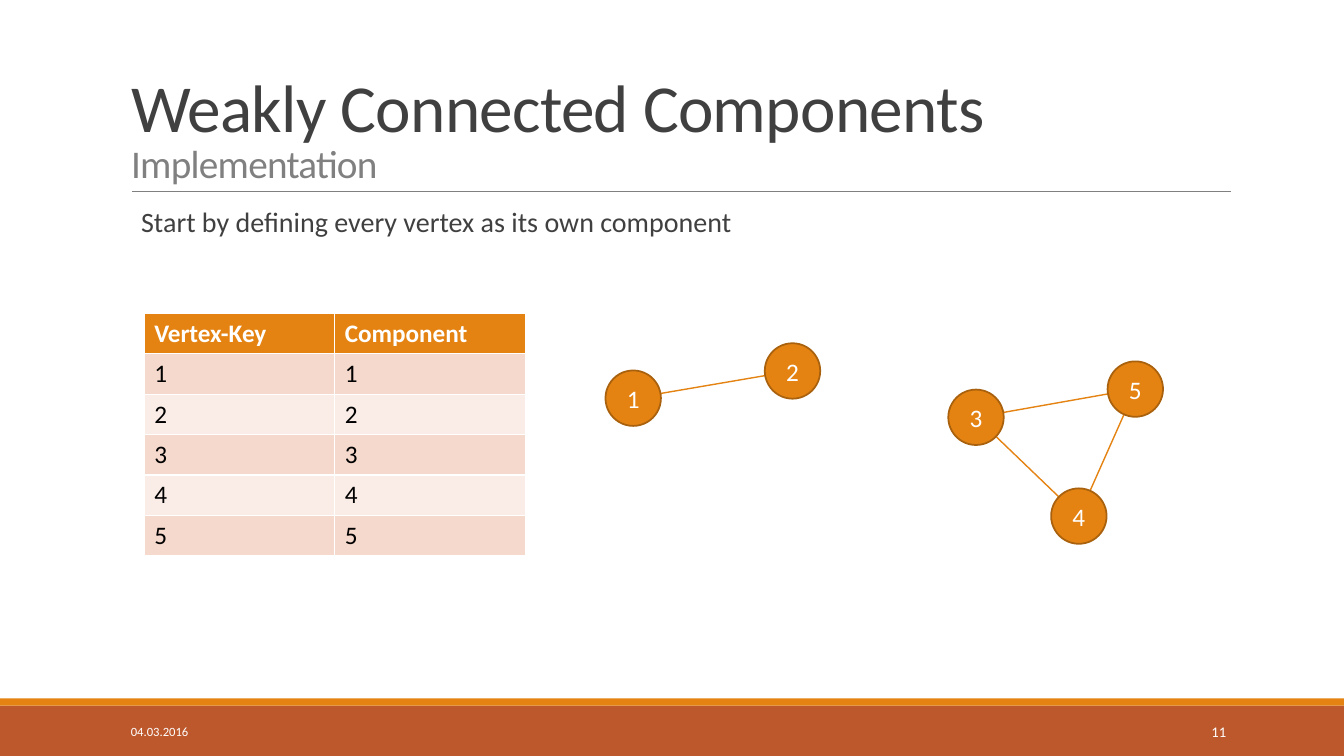
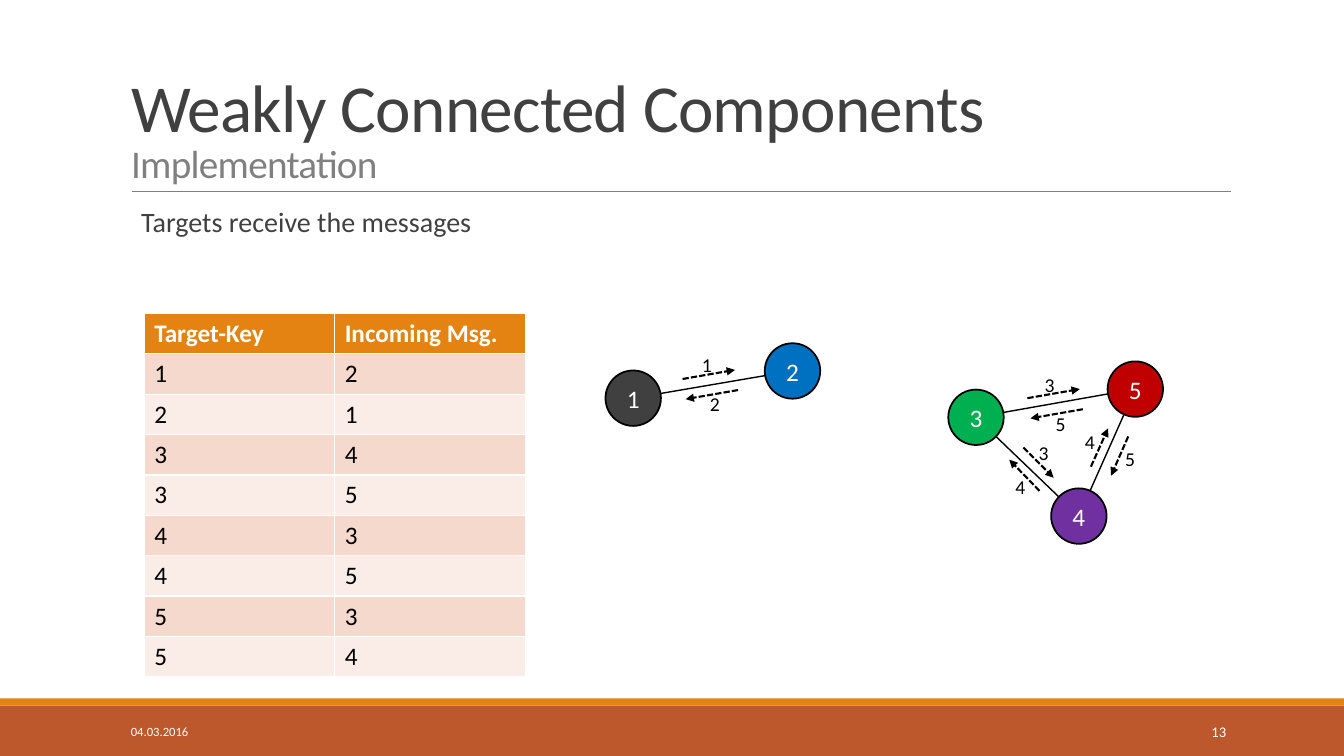
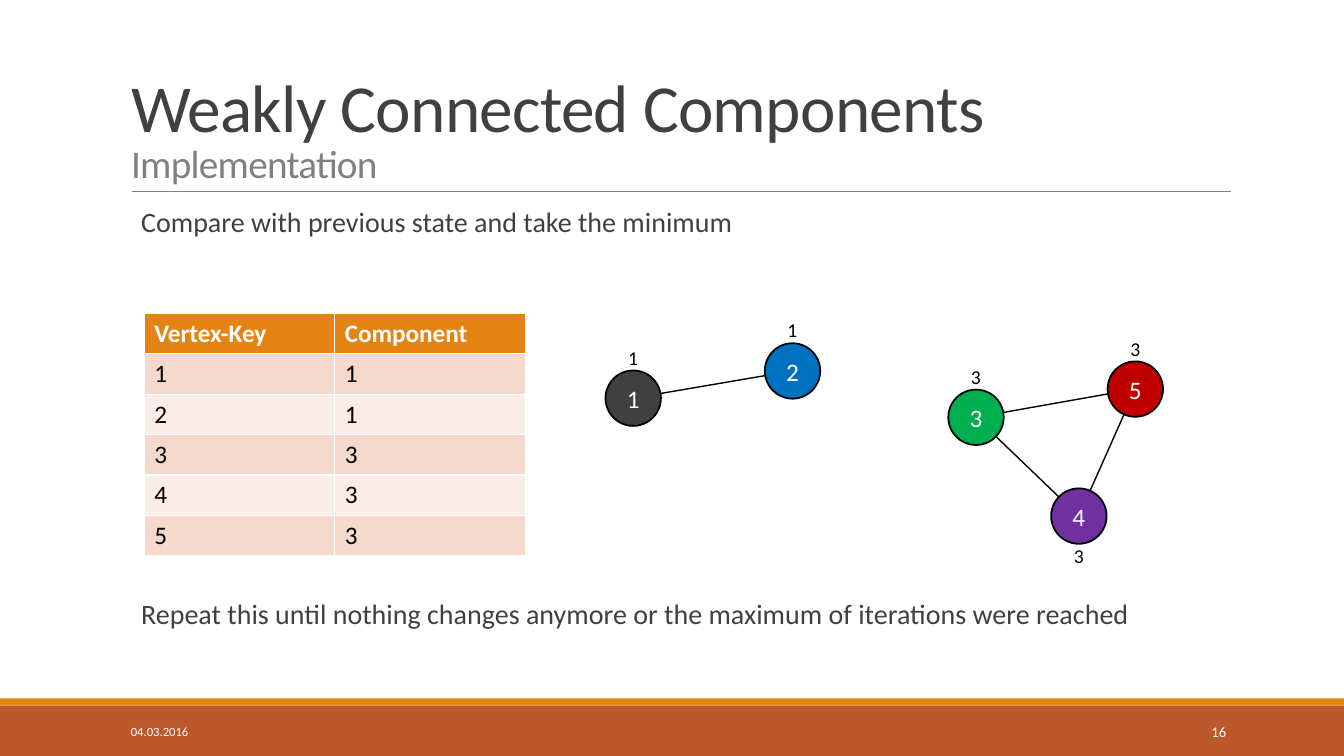
from pptx import Presentation
from pptx.dml.color import RGBColor
from pptx.enum.dml import MSO_LINE
from pptx.enum.shapes import MSO_CONNECTOR, MSO_SHAPE
from pptx.enum.text import MSO_ANCHOR, MSO_AUTO_SIZE, PP_ALIGN
from pptx.oxml.ns import qn
from pptx.util import Emu, Pt
from lxml import etree

RECTANGLE, ELLIPSE = MSO_SHAPE.RECTANGLE, MSO_SHAPE.OVAL
STRAIGHT, DASH = MSO_CONNECTOR.STRAIGHT, MSO_LINE.SQUARE_DOT
TOP, MIDDLE, BOTTOM = MSO_ANCHOR.TOP, MSO_ANCHOR.MIDDLE, MSO_ANCHOR.BOTTOM
LEFT, CENTER, RIGHT = PP_ALIGN.LEFT, PP_ALIGN.CENTER, PP_ALIGN.RIGHT
NO_FIT = MSO_AUTO_SIZE.NONE

PX = 9144  # 100 px to the inch
FONT = "Calibri"
COLORS = {
    "orange": "E48312", "rust": "BD582C", "brown": "A9610D",
    "dark": "404040", "gray": "808080", "white": "FFFFFF", "black": "000000",
    "blue": "0070C0", "green": "00B050", "red": "C00000", "purple": "7030A0",
    "row_odd": "F5D9CC", "row_even": "FAEDE7",
}

# Content shared by the slides
TITLE, SUBTITLE, DATE = "Weakly Connected Components", "Implementation", "04.03.2016"
NODES = {"1": (628, 395), "2": (786, 368), "3": (968, 414),
         "5": (1126, 386), "4": (1070, 512)}  # centers
EDGES = [("1", "2"), ("3", "5"), ("5", "4"), ("3", "4")]
NODE_SIZE = 55
PLAIN = {"nodes": dict.fromkeys(NODES, "orange"), "outline": "brown", "edge": "orange"}
COLORED = {
    "nodes": {"1": "dark", "2": "blue", "3": "green", "5": "red", "4": "purple"},
    "outline": "black", "edge": "black",
}

# Messages: text, arrow start, arrow end, label (center x, top)
MESSAGES = [
    ("1", (677, 376), (729, 367), (701, 345)),
    ("2", (732, 387), (680, 396), (709, 384)),
    ("3", (1019, 395), (1071, 386), (1041, 365)),
    ("5", (1074, 406), (1022, 415), (1052, 404)),
    ("3", (1015, 444), (1045, 474), (1035, 433)),
    ("4", (1031, 487), (1001, 456), (1012, 466)),
    ("5", (1119, 433), (1102, 472), (1121, 438)),
    ("4", (1082, 463), (1099, 425), (1081, 422)),
]

SLIDES = [
    {"number": "11", "graph": PLAIN,
     "statements": [("Start by defining every vertex as its own component", 202)],
     "table": [("Vertex-Key", "Component"),
               ("1", "1"), ("2", "2"), ("3", "3"), ("4", "4"), ("5", "5")]},
    {"number": "13", "graph": COLORED, "messages": MESSAGES,
     "statements": [("Targets receive the messages", 202)],
     "table": [("Target-Key", "Incoming Msg."),
               ("1", "2"), ("2", "1"), ("3", "4"), ("3", "5"),
               ("4", "3"), ("4", "5"), ("5", "3"), ("5", "4")]},
    {"number": "16", "graph": COLORED,
     "components": {"1": "1", "2": "1", "3": "3", "5": "3", "4": "3"},
     "statements": [
         ("Compare with previous state and take the minimum", 202),
         ("Repeat this until nothing changes anymore or the maximum of "
          "iterations were reached", 591)],
     "table": [("Vertex-Key", "Component"),
               ("1", "1"), ("2", "1"), ("3", "3"), ("4", "3"), ("5", "3")]},
]
BELOW_NODE = {"4"}  # nodes whose component label sits below


def px(*lengths):
    return [Emu(round(length * PX)) for length in lengths]


def color(name):
    return RGBColor.from_string(COLORS[name])


def add_span(para, text, size, shade, **formats):
    span = para.add_run()
    span.text = text
    for name, value in {"name": FONT, "size": Pt(size), **formats}.items():
        setattr(span.font, name, value)
    span.font.color.rgb = color(shade)
    return span


def add_text(slide, text, box, size, shade, align=LEFT, anchor=TOP, wrap=True):
    frame = slide.shapes.add_textbox(*px(*box)).text_frame
    frame.word_wrap, frame.vertical_anchor = wrap, anchor
    para = frame.paragraphs[0]
    para.alignment = align
    add_span(para, text, size, shade)
    return frame


def add_box(slide, kind, box, fill, outline=None):
    shape = slide.shapes.add_shape(kind, *px(*box))
    shape.shadow.inherit = False
    shape.fill.solid()
    shape.fill.fore_color.rgb = color(fill)
    if outline:
        shape.line.color.rgb = color(outline)
        shape.line.width = Pt(1.25)
    else:
        shape.line.fill.background()
    return shape


def add_line(slide, start, end, shade, width, arrow=False):
    connector = slide.shapes.add_connector(STRAIGHT, *px(*start, *end))
    connector.line.color.rgb = color(shade)
    connector.line.width = Pt(width)
    if arrow:
        connector.line.dash_style = DASH
        outline = connector.line._get_or_add_ln()
        etree.SubElement(outline, qn("a:tailEnd"), type="triangle")
    etree.SubElement(connector._element.spPr, qn("a:effectLst"))


def add_label(slide, text, center, top):
    add_text(slide, text, (center - 15, top, 30, 34), 14, "black", CENTER, wrap=False)


def add_frame(slide, number):
    # Bands, rule and footer
    add_box(slide, RECTANGLE, (0, 700, 1333, 50), "rust")
    add_box(slide, RECTANGLE, (0, 693, 1333, 7), "orange")
    add_line(slide, (131, 190), (1221, 190), "gray", 0.5)
    add_text(slide, DATE, (120, 706, 270, 40), 9, "white", anchor=MIDDLE)
    add_text(slide, number, (1083, 706, 143, 40), 10.5, "white", RIGHT, MIDDLE)

    # Title with subtitle
    title = slide.shapes.title
    title.left, title.top, title.width, title.height = px(120, 31, 1100, 159)
    frame = title.text_frame
    frame.auto_size, frame.vertical_anchor = NO_FIT, BOTTOM
    para = frame.paragraphs[0]
    para.alignment, para.line_spacing = LEFT, 0.85
    heading = add_span(para, TITLE, 48, "dark")
    para.add_line_break()
    subtitle = add_span(para, SUBTITLE, 28, "gray")
    for span in (heading, subtitle):
        span.font._element.set("spc", "-50")


def add_statement(slide, text, top):
    frame = add_text(slide, text, (120, top, 1100, 60), 20, "dark")
    frame.margin_left = px(20)[0]
    frame.paragraphs[0].line_spacing = 0.9


def add_key_table(slide, rows):
    box = px(143, 311, 378, 40 * len(rows))
    table = slide.shapes.add_table(len(rows), 2, *box).table
    for row, texts in enumerate(rows):
        header = row == 0
        fill = "orange" if header else "row_odd" if row % 2 else "row_even"
        for column, text in enumerate(texts):
            cell = table.cell(row, column)
            cell.fill.solid()
            cell.fill.fore_color.rgb = color(fill)
            add_span(cell.text_frame.paragraphs[0], text, 18,
                     "white" if header else "black", bold=header)


def add_graph(slide, style):
    for start, end in EDGES:
        add_line(slide, NODES[start], NODES[end], style["edge"], 1)
    for key, (x, y) in NODES.items():
        box = (x - NODE_SIZE / 2, y - NODE_SIZE / 2, NODE_SIZE, NODE_SIZE)
        node = add_box(slide, ELLIPSE, box, style["nodes"][key], style["outline"])
        node.text_frame.vertical_anchor = MIDDLE
        para = node.text_frame.paragraphs[0]
        para.alignment = CENTER
        add_span(para, key, 18, "white")


def main():
    deck = Presentation()
    deck.slide_width, deck.slide_height = px(1333, 750)
    for page in SLIDES:
        slide = deck.slides.add_slide(deck.slide_layouts[5])
        add_frame(slide, page["number"])
        add_key_table(slide, page["table"])
        add_graph(slide, page["graph"])
        for text, start, end, label in page.get("messages", []):
            add_line(slide, start, end, "black", 1.5, arrow=True)
            add_label(slide, text, *label)
        for key, text in page.get("components", {}).items():
            x, y = NODES[key]
            add_label(slide, text, x, y + 23 if key in BELOW_NODE else y - 57)
        for text, top in page["statements"]:
            add_statement(slide, text, top)
    deck.save("out.pptx")


if __name__ == "__main__":
    main()
